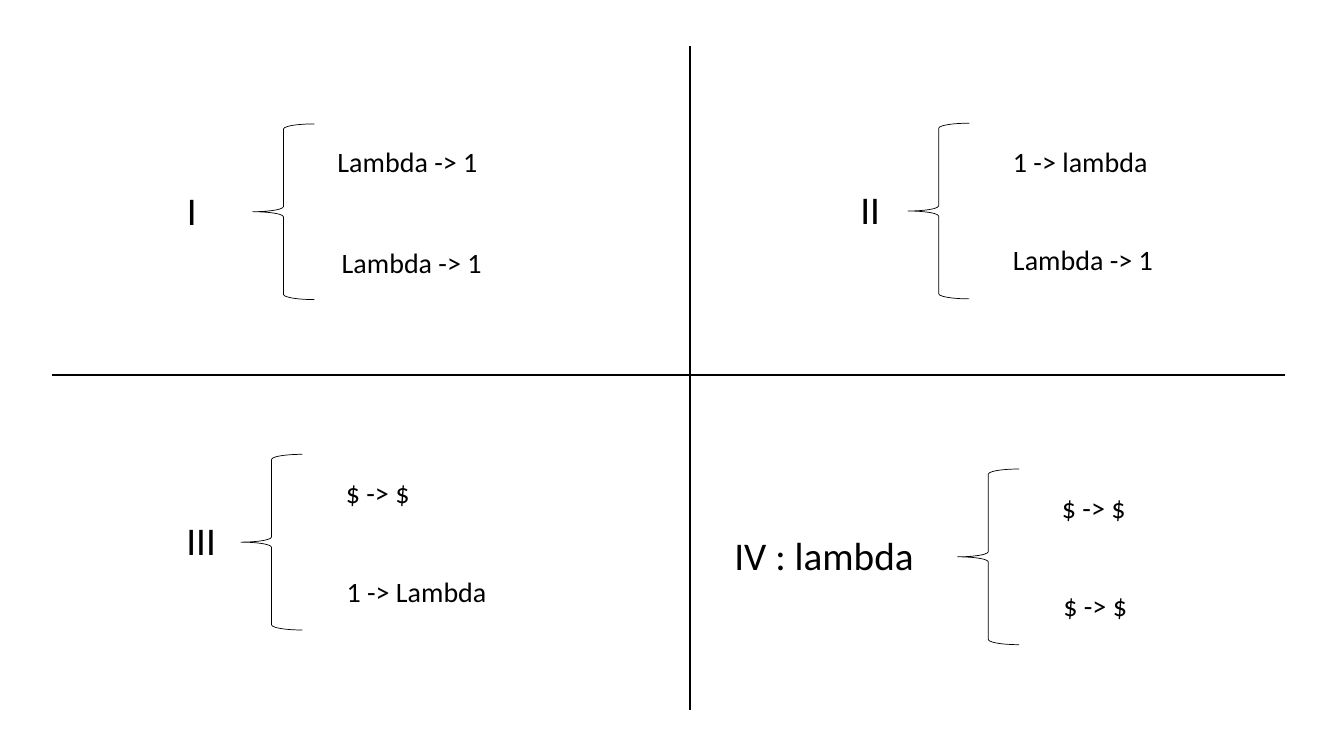
from lxml import etree
from pptx import Presentation
from pptx.dml.color import RGBColor
from pptx.enum import shapes, text
from pptx.oxml.ns import qn
from pptx.util import Pt


def color(value):
    return RGBColor.from_string(value)


class Board:
    """Draws elements on one slide in a shared style, with lengths in points."""

    font = "Calibri"
    ink = "000000"

    def __init__(self, slide):
        self.slide = slide

    def line(self, x1, y1, x2, y2):
        connector = self.slide.shapes.add_connector(
            shapes.MSO_CONNECTOR.STRAIGHT, Pt(x1), Pt(y1), Pt(x2), Pt(y2))
        connector.line.color.rgb = color(self.ink)
        connector.line.width = Pt(1)
        etree.SubElement(connector._element.spPr, qn("a:effectLst"))

    def brace(self, left, top, width=44, height=125.5):
        shape = self.slide.shapes.add_shape(
            shapes.MSO_SHAPE.LEFT_BRACE, Pt(left), Pt(top), Pt(width), Pt(height))
        shape.shadow.inherit = False
        shape.fill.background()
        shape.line.color.rgb = color(self.ink)
        shape.line.width = Pt(0.5)

    def label(self, words, left, top, width, height, size):
        box = self.slide.shapes.add_textbox(Pt(left), Pt(top), Pt(width), Pt(height))
        frame = box.text_frame
        frame.word_wrap = True
        frame.auto_size = text.MSO_AUTO_SIZE.SHAPE_TO_FIT_TEXT
        run = frame.paragraphs[0].add_run()
        run.text = words
        run.font.name = self.font
        run.font.size = Pt(size)
        run.font.color.rgb = color(self.ink)

    def case(self, name, name_left, name_width, brace_left, top, rules):
        self.brace(brace_left, top)
        self.label(name, name_left, top + 41, name_width, 41, 28)
        for words, left, offset in rules:
            self.label(words, left, top + offset, 144, 31.5, 20)


presentation = Presentation()
presentation.slide_width, presentation.slide_height = Pt(960), Pt(540)
board = Board(presentation.slides.add_slide(presentation.slide_layouts[6]))

board.line(493, 33, 493, 507)
board.line(37.5, 268, 918, 268)

cases = [
    ("I", 126.5, 33, 180.5, 88.5,
     [("Lambda -> 1", 234, 11.5), ("Lambda -> 1", 237, 83.5)]),
    ("II", 607.5, 33, 648.5, 88,
     [("1 -> lambda", 716.5, 11.5), ("Lambda -> 1", 716.5, 82)]),
    ("III", 126, 38, 172, 324.5,
     [("$ -> $", 240, 11.5), ("1 -> Lambda", 240.5, 82)]),
    ("IV : lambda", 517.5, 154, 684, 335,
     [("$ -> $", 751.5, 11.5), ("$ -> $", 752.5, 82)]),
]
for case in cases:
    board.case(*case)

presentation.save("out.pptx")
